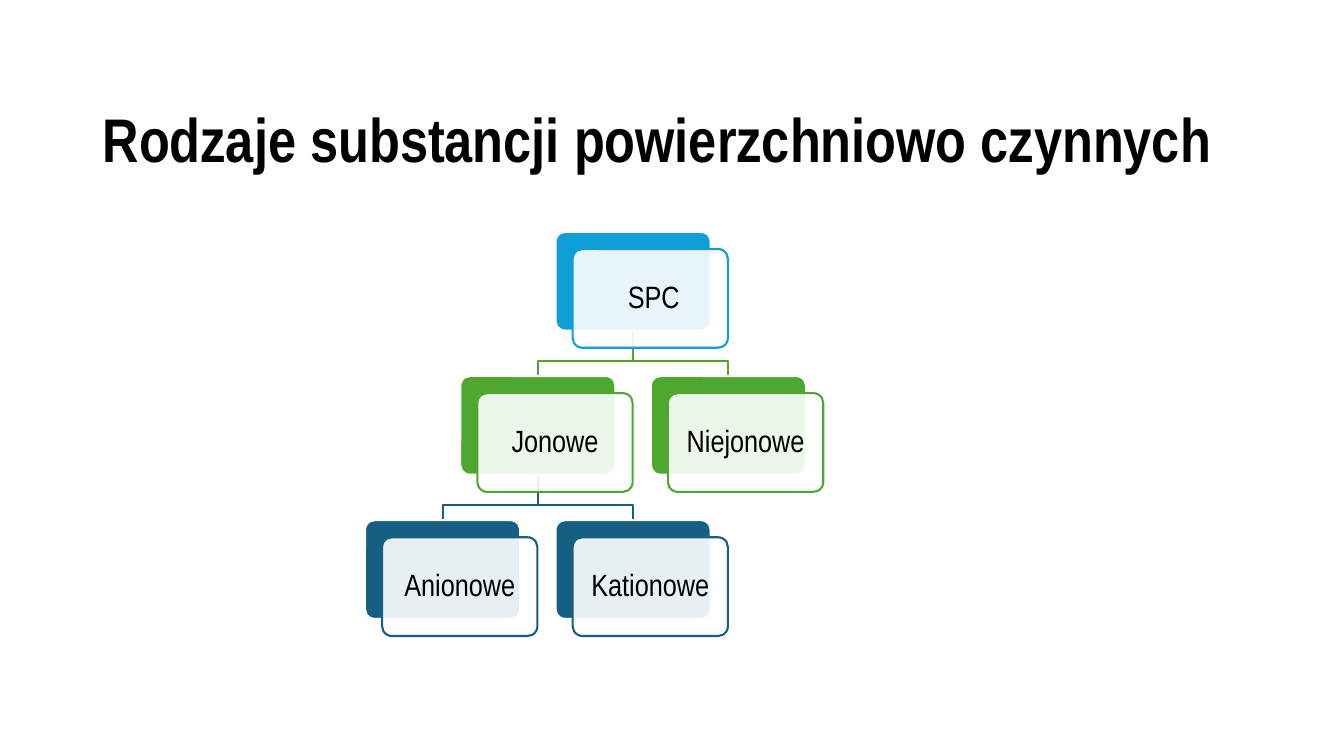
from lxml import etree
from pptx import Presentation
from pptx import util as u
from pptx.dml.color import RGBColor
from pptx.enum import shapes, text
from pptx.oxml.ns import qn

TITLE = "Rodzaje substancji powierzchniowo czynnych"
NODES = {
    "spc": (" SPC", 0, 0, None),
    "ion": ("Jonowe", 1, -1, "spc"),
    "anion": ("Anionowe", 2, -2, "ion"),
    "cation": ("Kationowe", 2, 0, "ion"),
    "nonion": ("Niejonowe", 1, 1, "spc"),
}
THEME = {
    "font": "Arial Narrow", "title": 44, "label": 22, "line": 1.5,
    "ink": "000000", "paper": "FFFFFF",
    "levels": ["0F9ED5", "4EA72E", "156082"],
}
MID, TOP = 6.28, 2.3
STEP, ROW = 0.945, 1.43
WIDE, HIGH = 1.54, 0.98
SHIFT, DROP, PAD = 0.17, 0.3, 0.12


def color(code):
    return RGBColor.from_string(code)


def write(box, words, size, bold, align, pad):
    frame = box.text_frame
    frame.text = words
    frame.word_wrap = True
    frame.vertical_anchor = text.MSO_ANCHOR.MIDDLE
    frame.margin_left = frame.margin_right = u.Inches(pad)
    frame.margin_top = frame.margin_bottom = u.Inches(pad)
    para = frame.paragraphs[0]
    para.alignment = align
    para.line_spacing = 0.9
    font = para.runs[0].font
    font.name, font.size, font.bold = THEME["font"], u.Pt(size), bold
    font.color.rgb = color(THEME["ink"])


def spot(row, col):
    return MID + STEP * col, TOP + ROW * row


def outline(shape, code):
    shape.shadow.inherit = False
    shape.line.color.rgb = color(code)
    shape.line.width = u.Pt(THEME["line"])


def link(slide, start, end, code):
    (x, y), (to, stop) = start, end
    y += HIGH
    points = [(x, y + DROP), (to, y + DROP), (to, stop)]
    pen = slide.shapes.build_freeform(u.Inches(x), u.Inches(y))
    pen.add_line_segments([(u.Inches(a), u.Inches(b)) for a, b in points], close=False)
    branch = pen.convert_to_shape()
    branch.fill.background()
    outline(branch, code)


def panel(slide, x, y, fill, line):
    card = slide.shapes.add_shape(
        shapes.MSO_SHAPE.ROUNDED_RECTANGLE,
        u.Inches(x), u.Inches(y), u.Inches(WIDE), u.Inches(HIGH))
    card.adjustments[0] = 0.1
    card.fill.solid()
    card.fill.fore_color.rgb = color(fill)
    outline(card, line)
    return card


def node(slide, label, row, col):
    x, y = spot(row, col)
    x -= WIDE / 2
    code, paper = THEME["levels"][row], THEME["paper"]
    panel(slide, x, y, code, paper)
    front = panel(slide, x + SHIFT, y + SHIFT, paper, code)
    tint = front.fill._xPr.find(qn("a:solidFill"))[0]
    etree.SubElement(tint, qn("a:alpha")).set("val", "90000")
    write(front, label, THEME["label"], False, text.PP_ALIGN.CENTER, PAD)


def main():
    deck = Presentation()
    deck.slide_width, deck.slide_height = u.Inches(13.33), u.Inches(7.5)
    slide = deck.slides.add_slide(deck.slide_layouts[6])
    head = slide.shapes.add_textbox(
        u.Inches(0.92), u.Inches(0.69), u.Inches(11.5), u.Inches(1.45))
    write(head, TITLE, THEME["title"], True, text.PP_ALIGN.LEFT, 0.1)
    for label, row, col, boss in NODES.values():
        if boss:
            above = NODES[boss]
            link(slide, spot(above[1], above[2]), spot(row, col), THEME["levels"][row])
    for label, row, col, boss in NODES.values():
        node(slide, label, row, col)
    deck.save("out.pptx")


if __name__ == "__main__":
    main()
